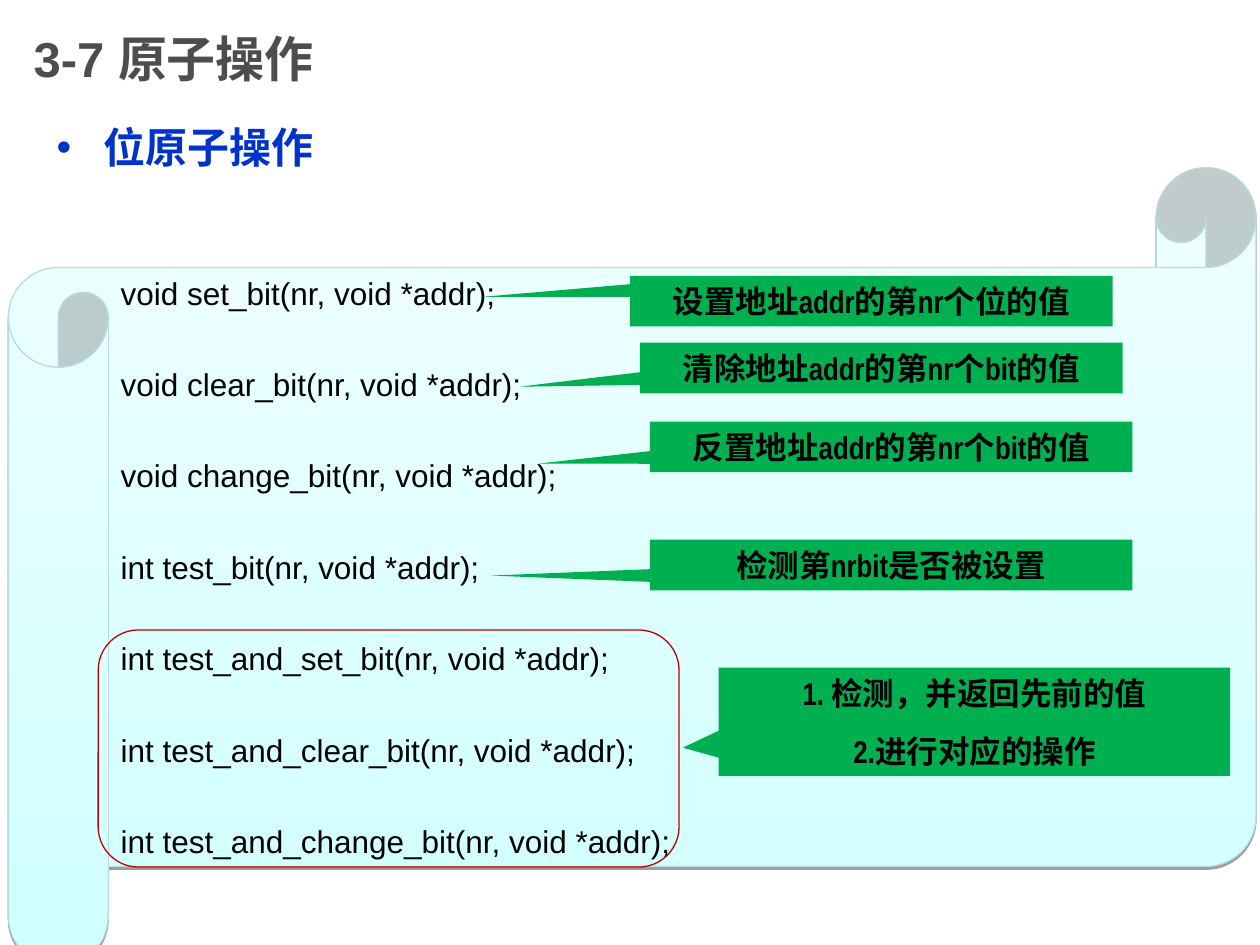
from lxml import etree
from pptx import Presentation
from pptx.dml import color
from pptx.enum import shapes, text
from pptx.oxml import ns
from pptx.util import Cm, Pt


def rgb(value):
    return color.RGBColor.from_string(value)


def write(frame, lines, size, ink, font="Arial", bold=False, gap=0,
          align=text.PP_ALIGN.LEFT, anchor=text.MSO_ANCHOR.TOP):
    frame.word_wrap = True
    frame.vertical_anchor = anchor
    for i, line in enumerate(lines):
        paragraph = frame.paragraphs[0] if i == 0 else frame.add_paragraph()
        paragraph.text = line
        paragraph.alignment = align
        paragraph.space_before = Pt(gap if i else 0)
        paragraph.font.name = font
        paragraph.font.size = Pt(size)
        paragraph.font.bold = bold
        paragraph.font.color.rgb = rgb(ink)


prs = Presentation()
prs.slide_width, prs.slide_height = Cm(25.4), Cm(19.05)
slide = prs.slides.add_slide(prs.slide_layouts[6])

# Title
title = slide.shapes.add_textbox(Cm(0.43), Cm(0), Cm(19.05), Cm(2.34))
write(title.text_frame, ["3-7 原子操作"], 28, "4D4D4D", bold=True,
      anchor=text.MSO_ANCHOR.MIDDLE)

# Topic with a bullet
topic = slide.shapes.add_textbox(Cm(0.89), Cm(2.33), Cm(24.51), Cm(1.4))
write(topic.text_frame, ["位原子操作"], 24, "0033CC", bold=True)
bullet_format = topic.text_frame.paragraphs[0]._p.get_or_add_pPr()
bullet_format.set("marL", str(Cm(0.94)))
bullet_format.set("indent", str(-Cm(0.94)))
etree.SubElement(bullet_format, ns.qn("a:buFont"), typeface="Arial")
etree.SubElement(bullet_format, ns.qn("a:buChar"), char="•")

# Scroll with the function list
scroll = slide.shapes.add_shape(shapes.MSO_SHAPE.HORIZONTAL_SCROLL,
                                Cm(0.17), Cm(3.38), Cm(25.15), Cm(16.1))
scroll.adjustments[0] = 0.125
scroll.fill.gradient()
scroll.fill.gradient_angle = 90
for stop, shade, place in zip(scroll.fill.gradient_stops, ("CFFFFF", "F0FFFF"), (0, 1)):
    stop.color.rgb = rgb(shade)
    stop.position = place
scroll.line.color.rgb = rgb("B6DCDF")
scroll.line.width = Pt(0.75)
scroll.shadow.inherit = False
effects = scroll._element.spPr.find(ns.qn("a:effectLst"))
drop = etree.SubElement(effects, ns.qn("a:outerShdw"), blurRad="0",
                        dist=str(Pt(1.6)), dir="5400000", rotWithShape="0")
black = etree.SubElement(drop, ns.qn("a:srgbClr"), val="000000")
etree.SubElement(black, ns.qn("a:alpha"), val="38000")

functions = ["void set_bit", "void clear_bit", "void change_bit", "int test_bit",
             "int test_and_set_bit", "int test_and_clear_bit", "int test_and_change_bit"]
write(scroll.text_frame, [f"{name}(nr, void *addr);" for name in functions],
      18, "000000", gap=30.6)

# Callouts: left, top, width, height, pointer x and y, lines
callouts = [
    (12.7, 5.56, 9.73, 1.02, -0.81, -0.08, ["设置地址addr的第nr个位的值"]),
    (14.49, 13.46, 10.31, 2.18, -0.57, 0.24, ["1. 检测，并返回先前的值", "2.进行对应的操作"]),
    (12.9, 6.91, 9.73, 1.02, -0.75, 0.37, ["清除地址addr的第nr个bit的值"]),
    (13.1, 8.5, 9.73, 1.02, -0.73, 0.33, ["反置地址addr的第nr个bit的值"]),
    (13.1, 10.88, 9.73, 1.02, -0.83, 0.21, ["检测第nrbit是否被设置"]),
]
for left, top, width, height, tip_x, tip_y, lines in callouts:
    callout = slide.shapes.add_shape(shapes.MSO_SHAPE.RECTANGULAR_CALLOUT,
                                     Cm(left), Cm(top), Cm(width), Cm(height))
    callout.adjustments[0], callout.adjustments[1] = tip_x, tip_y
    callout.fill.solid()
    callout.fill.fore_color.rgb = rgb("00B050")
    callout.line.fill.background()
    callout.shadow.inherit = False
    write(callout.text_frame, lines, 18, "000000", "Arial Narrow", True, 11.2,
          text.PP_ALIGN.CENTER, text.MSO_ANCHOR.MIDDLE)

# Frame around the test-and-modify functions
group_frame = slide.shapes.add_shape(shapes.MSO_SHAPE.ROUNDED_RECTANGLE,
                                     Cm(1.98), Cm(12.7), Cm(11.71), Cm(4.78))
group_frame.adjustments[0] = 0.17
group_frame.fill.background()
group_frame.line.color.rgb = rgb("C00000")
group_frame.line.width = Pt(0.75)
group_frame.shadow.inherit = False

prs.save("out.pptx")
